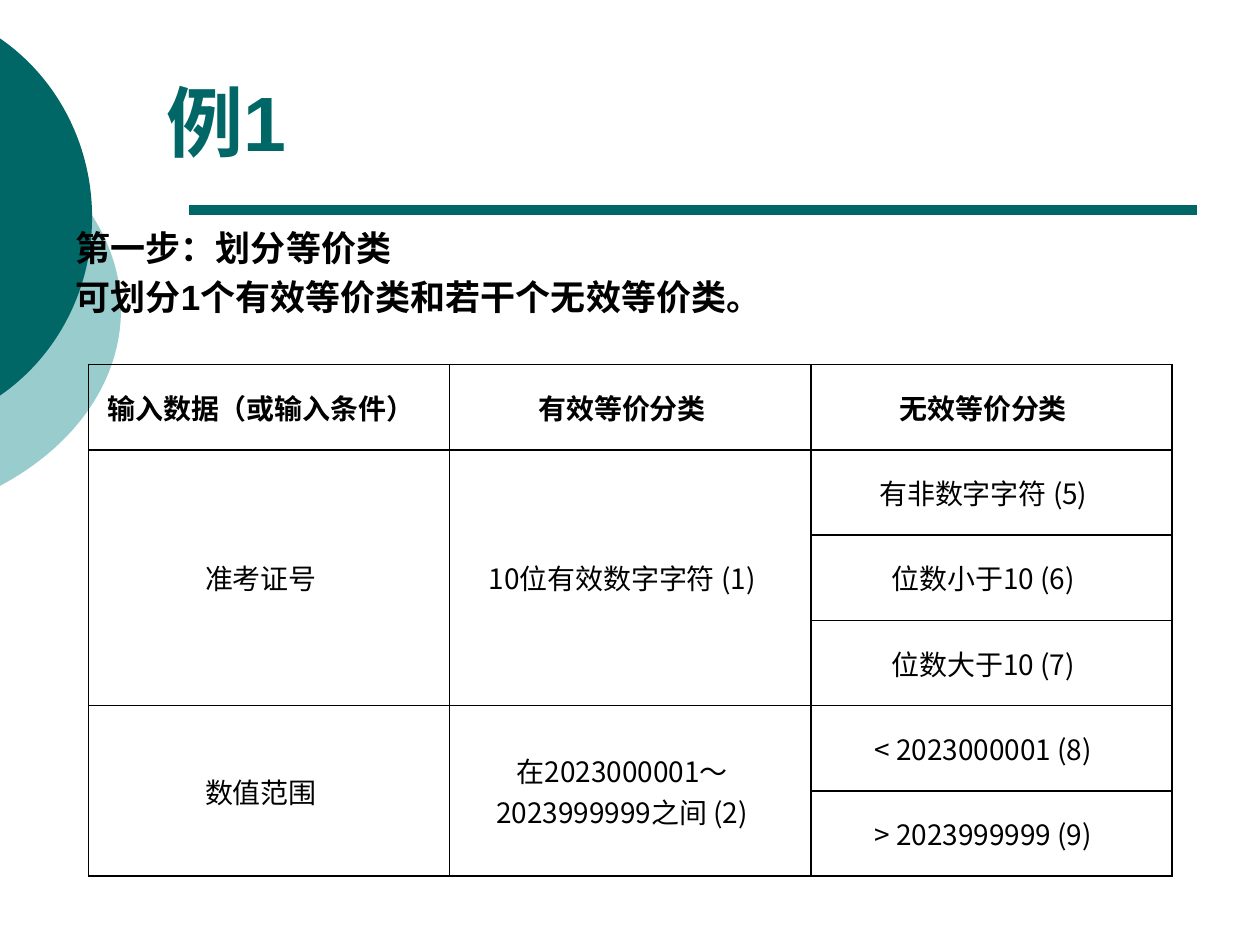
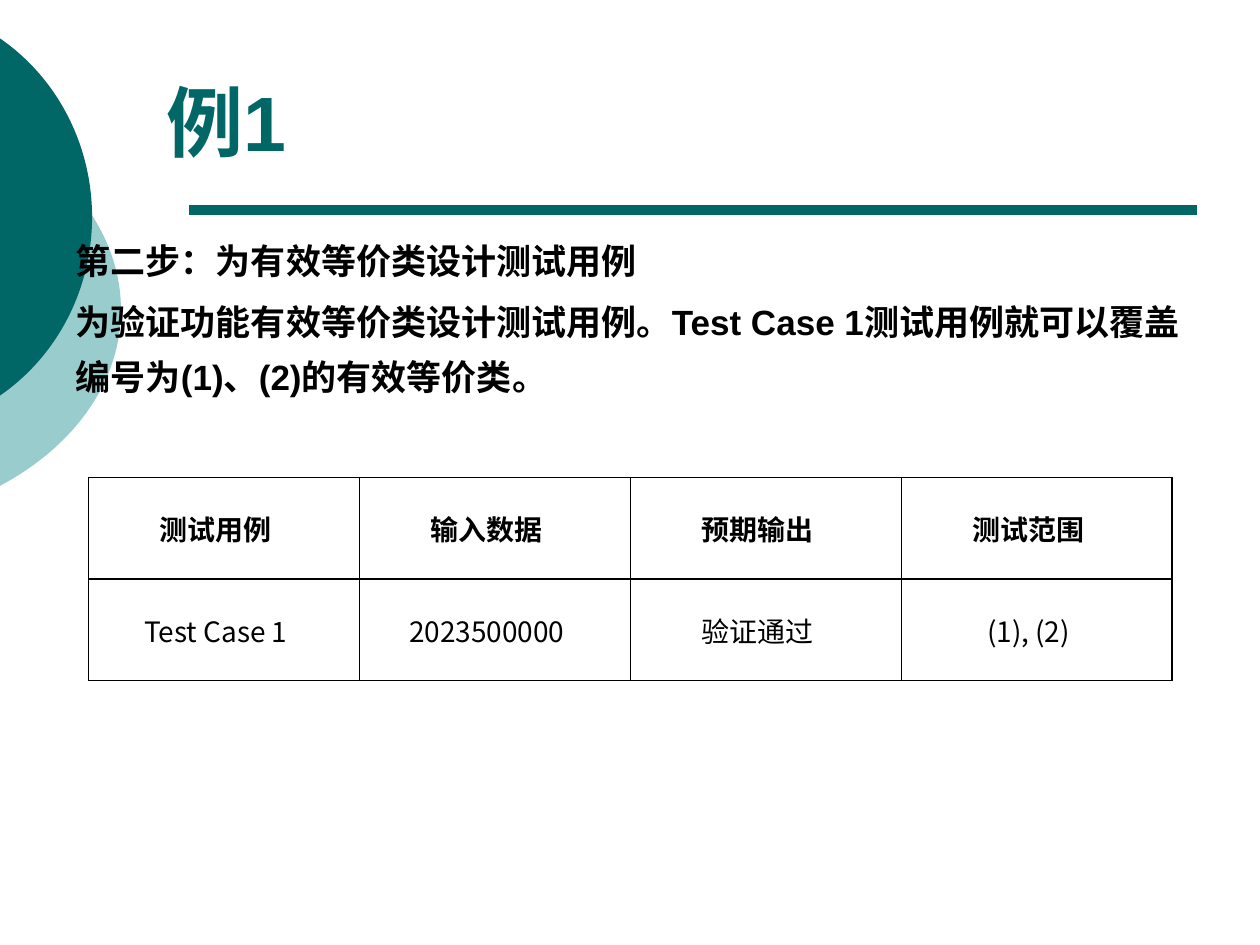
from lxml import etree
from pptx import Presentation
from pptx.dml.color import RGBColor
from pptx.enum.shapes import MSO_CONNECTOR as Connector, MSO_SHAPE as Preset
from pptx.enum.text import MSO_ANCHOR as Anchor, PP_ALIGN as Align
from pptx.oxml import parse_xml
from pptx.oxml.ns import nsdecls, qn
from pptx.util import Pt

COLORS = {"teal": "006666", "mist": "99CCCC", "black": "000000", "white": "FFFFFF"}
BODY_FONT = "Arial"
TABLE_FONT = "Noto Sans CJK SC"
TABLE_LEFT, TABLE_WIDTH = 50.6, 619.2

ARCS = [
    ("mist", (-254.9, 54, 324, 246.2), [(-0.5, 76.3), (43.2, 99.4), (69.1, 136.8), (69.1, 177.1)]),
    ("teal", (-190.8, 0, 243.4, 248.4), [(-0.5, 21.6), (33.1, 44.6), (52.6, 83.2), (52.6, 124)]),
]

PAGES = [
    {
        "title": "例1",
        "body": ["第一步：划分等价类", "可划分1个有效等价类和若干个无效等价类。"],
        "line_spacing": 1.0,
        "table_top": 208.4,
        "row_height": 48.7,
        "rows": [
            ["输入数据（或输入条件）", "有效等价分类", "无效等价分类"],
            ["准考证号", "10位有效数字字符 (1)", "有非数字字符 (5)"],
            ["", "", "位数小于10 (6)"],
            ["", "", "位数大于10 (7)"],
            ["数值范围", "在2023000001～2023999999之间 (2)", "< 2023000001 (8)"],
            ["", "", "> 2023999999 (9)"],
        ],
        "merges": [(1, 3), (4, 5)],
    },
    {
        "title": "例1",
        "body": [
            "第二步：为有效等价类设计测试用例",
            "为验证功能有效等价类设计测试用例。Test Case 1测试用例就可以覆盖编号为(1)、(2)的有效等价类。",
        ],
        "line_spacing": 1.3,
        "table_top": 272.9,
        "row_height": 58,
        "rows": [
            ["测试用例", "输入数据", "预期输出", "测试范围"],
            ["Test Case 1", "2023500000", "验证通过", "(1), (2)"],
        ],
        "merges": [],
    },
]


def add_span(para, text, size, font, color, bold):
    span = para.add_run()
    span.text = text
    span.font.size = Pt(size)
    span.font.name = font
    span.font.bold = bold
    span.font.color.rgb = RGBColor.from_string(COLORS[color])
    east_asian = etree.SubElement(span.font._element, qn("a:ea"))
    east_asian.set("typeface", font)


def add_box(page, left, top, width, height, anchor):
    frame = page.shapes.add_textbox(Pt(left), Pt(top), Pt(width), Pt(height)).text_frame
    frame.word_wrap = True
    frame.vertical_anchor = anchor
    return frame


deck = Presentation()
deck.slide_width, deck.slide_height = Pt(720), Pt(540)

for content in PAGES:
    page = deck.slides.add_slide(deck.slide_layouts[6])

    for color, (left, top, width, height), curve in ARCS:
        builder = page.shapes.build_freeform(Pt(left), Pt(top))
        builder.add_line_segments([(Pt(left + width), Pt(top + height)), (Pt(left), Pt(top + height))])
        arc = builder.convert_to_shape()
        arc.shadow.inherit = False
        arc.fill.solid()
        arc.fill.fore_color.rgb = RGBColor.from_string(COLORS[color])
        arc.line.fill.background()
        middle = curve[-1][1]
        lower = [(x, 2 * middle - y) for x, y in reversed(curve[:-1])]
        outline = [f'<a:pt x="{Pt(x - left)}" y="{Pt(y - top)}"/>' for x, y in curve + lower]
        path_list = arc._element.spPr.find(".//" + qn("a:pathLst"))
        path_list.remove(path_list[0])
        path_list.append(parse_xml(
            f'<a:path {nsdecls("a")} w="{Pt(width)}" h="{Pt(height)}">'
            f'<a:moveTo>{outline[0]}</a:moveTo>'
            f'<a:cubicBezTo>{"".join(outline[1:4])}</a:cubicBezTo>'
            f'<a:cubicBezTo>{"".join(outline[4:])}</a:cubicBezTo><a:close/></a:path>'))

    rule = page.shapes.add_connector(Connector.STRAIGHT, Pt(108), Pt(120), Pt(684), Pt(120))
    rule.line.width = Pt(6)
    rule.line.color.rgb = RGBColor.from_string(COLORS["teal"])
    etree.SubElement(rule._element.spPr, qn("a:effectLst"))

    title = add_box(page, 88.2, 9, 612, 90, Anchor.BOTTOM)
    add_span(title.paragraphs[0], content["title"], 44, BODY_FONT, "teal", True)

    body = add_box(page, 36.2, 126, 648, 89.3, Anchor.TOP)
    for index, text in enumerate(content["body"]):
        para = body.add_paragraph() if index else body.paragraphs[0]
        para.line_spacing = content["line_spacing"]
        if index:
            para.space_before = Pt(4)
        add_span(para, text, 20, BODY_FONT, "black", True)

    corner = page.shapes.add_shape(Preset.RECTANGLE, Pt(566.6), Pt(15.1), Pt(133.2), Pt(61.9))
    corner.shadow.inherit = False
    corner.fill.solid()
    corner.fill.fore_color.rgb = RGBColor.from_string(COLORS["white"])
    corner.line.color.rgb = RGBColor.from_string(COLORS["white"])
    corner.line.width = Pt(2)

    rows = content["rows"]
    row_count, column_count = len(rows), len(rows[0])
    table = page.shapes.add_table(
        row_count, column_count, Pt(TABLE_LEFT), Pt(content["table_top"]),
        Pt(TABLE_WIDTH), Pt(content["row_height"] * row_count)).table
    table.first_row = table.horz_banding = False
    for column in table.columns:
        column.width = Pt(TABLE_WIDTH / column_count)
    for row_index, texts in enumerate(rows):
        table.rows[row_index].height = Pt(content["row_height"])
        for column_index, text in enumerate(texts):
            cell = table.cell(row_index, column_index)
            cell.fill.background()
            cell.vertical_anchor = Anchor.MIDDLE
            cell.margin_left, cell.margin_right = Pt(0), Pt(9.4)
            cell.margin_top = cell.margin_bottom = Pt(7.2)
            properties = cell._tc.get_or_add_tcPr()
            for position, side in enumerate("LRTB"):
                properties.insert(position, parse_xml(
                    f'<a:ln{side} {nsdecls("a")} w="{Pt(1)}"><a:solidFill>'
                    f'<a:srgbClr val="{COLORS["black"]}"/></a:solidFill></a:ln{side}>'))
            if text:
                para = cell.text_frame.paragraphs[0]
                para.alignment = Align.CENTER
                add_span(para, text, 16, TABLE_FONT, "black", row_index == 0)
    for first, last in content["merges"]:
        for column_index in (0, 1):
            table.cell(first, column_index).merge(table.cell(last, column_index))

deck.save("out.pptx")
